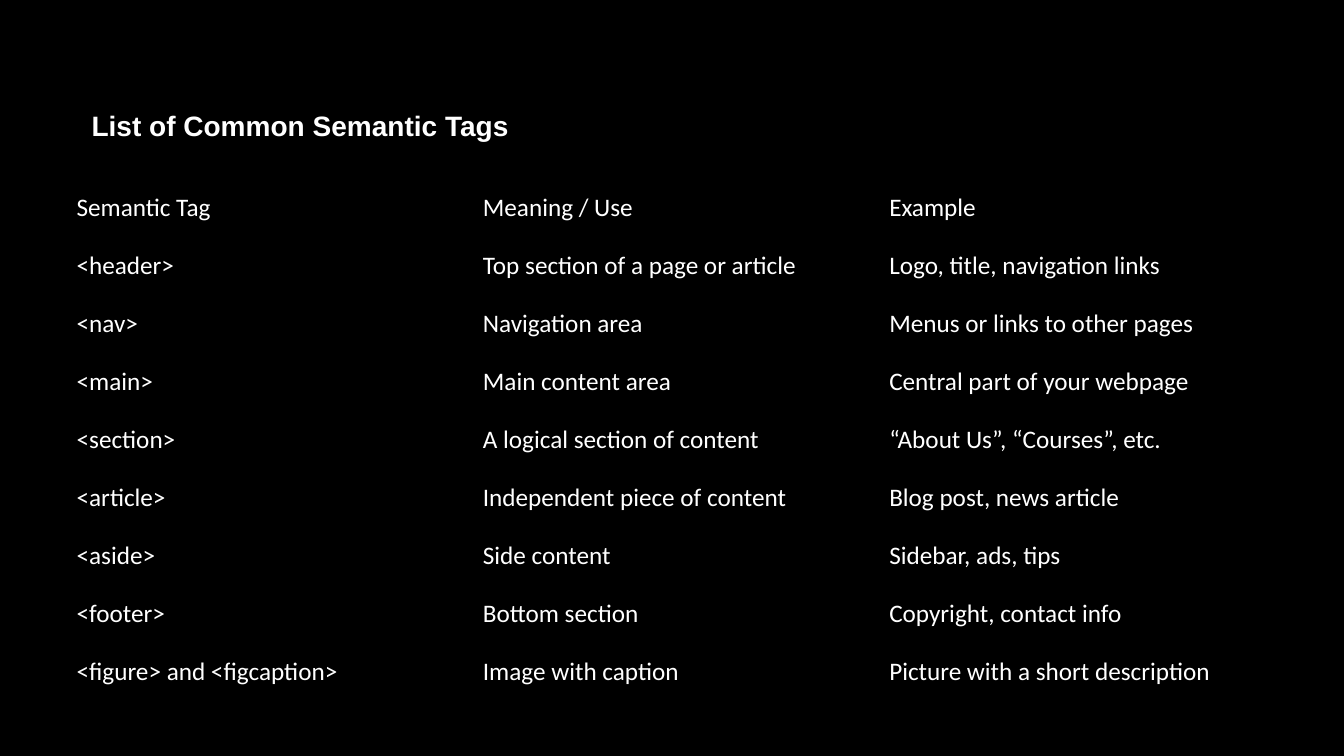
from dataclasses import dataclass

from pptx import Presentation
from pptx.dml.color import RGBColor
from pptx.enum.text import MSO_ANCHOR, MSO_AUTO_SIZE
from pptx.oxml.ns import qn
from pptx.util import Inches, Pt

MIDDLE = MSO_ANCHOR.MIDDLE
GROW = MSO_AUTO_SIZE.SHAPE_TO_FIT_TEXT
NO_STYLE_NO_GRID = "{2D5ABB26-0587-4C30-8999-92F81FD0307C}"
BLANK_LAYOUT = 6

SEMANTIC_TAGS = [
    ("Semantic Tag", "Meaning / Use", "Example"),
    ("<header>", "Top section of a page or article", "Logo, title, navigation links"),
    ("<nav>", "Navigation area", "Menus or links to other pages"),
    ("<main>", "Main content area", "Central part of your webpage"),
    ("<section>", "A logical section of content", "“About Us”, “Courses”, etc."),
    ("<article>", "Independent piece of content", "Blog post, news article"),
    ("<aside>", "Side content", "Sidebar, ads, tips"),
    ("<footer>", "Bottom section", "Copyright, contact info"),
    ("<figure> and <figcaption>", "Image with caption", "Picture with a short description"),
]


@dataclass(frozen=True)
class Theme:
    background: RGBColor = RGBColor(0x00, 0x00, 0x00)
    text: RGBColor = RGBColor(0xFF, 0xFF, 0xFF)
    title_font: str = "Arial"
    title_size: int = 20
    body_font: str = "Calibri"
    body_size: int = 18


class SlideBuilder:
    """Holds the theme and the slide being filled."""

    def __init__(self, slide, theme):
        self.slide = slide
        self.theme = theme
        fill = slide.background.fill
        fill.solid()
        fill.fore_color.rgb = theme.background

    def add_run(self, paragraph, text, font_name, size, bold=False):
        run = paragraph.add_run()
        run.text = text
        run.font.name = font_name
        run.font.size = Pt(size)
        run.font.bold = bold
        run.font.color.rgb = self.theme.text

    def add_title(self, text, left, top, width, height):
        shape = self.slide.shapes.add_textbox(
            Inches(left), Inches(top), Inches(width), Inches(height))
        frame = shape.text_frame
        frame.word_wrap = True
        frame.auto_size = GROW
        frame.vertical_anchor = MIDDLE
        self.add_run(frame.paragraphs[0], text,
                     self.theme.title_font, self.theme.title_size, bold=True)

    def add_plain_table(self, rows, left, top, width, height):
        """Add a table with equal rows and columns, no fills and no borders."""
        shape = self.slide.shapes.add_table(
            len(rows), len(rows[0]),
            Inches(left), Inches(top), Inches(width), Inches(height))
        table = shape.table
        table.first_row = False
        table.horz_banding = False
        for style in shape.element.iter(qn("a:tableStyleId")):
            style.text = NO_STYLE_NO_GRID
        for row_index, texts in enumerate(rows):
            for column_index, text in enumerate(texts):
                cell = table.cell(row_index, column_index)
                cell.fill.background()
                cell.vertical_anchor = MIDDLE
                self.add_run(cell.text_frame.paragraphs[0], text,
                             self.theme.body_font, self.theme.body_size)


def main():
    presentation = Presentation()
    presentation.slide_width = Inches(13.33)
    presentation.slide_height = Inches(7.5)
    slide = presentation.slides.add_slide(presentation.slide_layouts[BLANK_LAYOUT])
    builder = SlideBuilder(slide, Theme())
    builder.add_title("List of Common Semantic Tags", 0.81, 1.02, 4.94, 0.44)
    builder.add_plain_table(SEMANTIC_TAGS, 0.66, 1.78, 12.09, 5.17)
    presentation.save("out.pptx")


if __name__ == "__main__":
    main()
